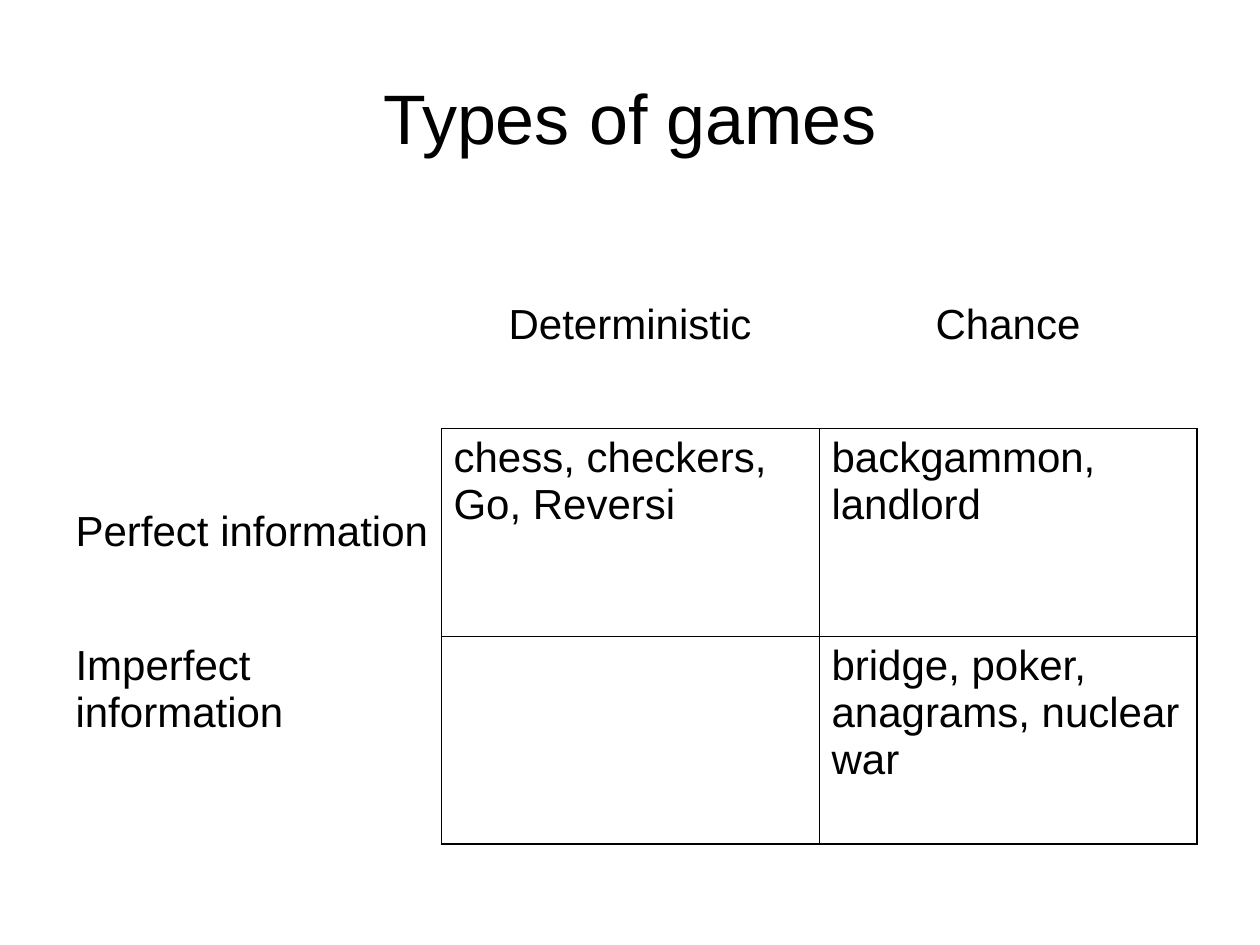
"""Build a slide with a two-by-two table of game types."""
import lxml.etree
import pptx
import pptx.dml.color
import pptx.enum.text
import pptx.oxml.ns
import pptx.util

Inches = pptx.util.Inches
Pt = pptx.util.Pt
Align = pptx.enum.text.PP_ALIGN
Anchor = pptx.enum.text.MSO_ANCHOR

INK = "000000"
SIDE = 3
ROWS = [
    ["", "Deterministic", "Chance"],
    ["Perfect information", "chess, checkers, Go, Reversi", "backgammon, landlord"],
    ["Imperfect information", "", "bridge, poker, anagrams, nuclear war"],
]


def color(code):
    """Turn a hex string into a colour."""
    return pptx.dml.color.RGBColor.from_string(code)


def write(frame, text, size, align):
    """Put one run of text in the first paragraph of a frame."""
    para = frame.paragraphs[0]
    para.alignment = align
    run = para.add_run()
    run.text = text
    run.font.name = "Arial"
    run.font.size = Pt(size)
    run.font.color.rgb = color(INK)


def add_title(slide, text):
    """Add the centred title."""
    box = slide.shapes.add_textbox(Inches(0.5), Inches(0.3), Inches(9), Inches(1.25))
    frame = box.text_frame
    frame.word_wrap = True
    frame.vertical_anchor = Anchor.MIDDLE
    write(frame, text, 40, Align.CENTER)


def make_line(tag, width):
    """Make a cell border element; a width of zero hides it."""
    qn = pptx.oxml.ns.qn
    line = lxml.etree.Element(qn(tag), w=str(int(Pt(width))))
    if width:
        fill = lxml.etree.SubElement(line, qn("a:solidFill"))
        lxml.etree.SubElement(fill, qn("a:srgbClr"), val=INK)
    else:
        lxml.etree.SubElement(line, qn("a:noFill"))
    return line


def edge_width(edge, lane):
    """Give the width of a grid edge, leaving the header lanes open."""
    if edge == 0 or lane == 0:
        return 0
    return 1.08 if edge == SIDE else 0.45


def set_edges(cell, row, col):
    """Draw the four borders of a cell by its place in the grid."""
    edges = [("a:lnL", col, row), ("a:lnR", col + 1, row),
             ("a:lnT", row, col), ("a:lnB", row + 1, col)]
    props = cell._tc.get_or_add_tcPr()
    for spot, (tag, edge, lane) in enumerate(edges):
        props.insert(spot, make_line(tag, edge_width(edge, lane)))


def add_grid(slide):
    """Add the table of games."""
    shape = slide.shapes.add_table(SIDE, SIDE, Inches(0.5), Inches(1.75),
                                   Inches(9), Inches(4.95))
    table = shape.table
    table.first_row = False
    table.horz_banding = False
    for row, texts in enumerate(ROWS):
        for col, text in enumerate(texts):
            cell = table.cell(row, col)
            cell.fill.background()
            set_edges(cell, row, col)
            if row == 0 or (row, col) == (1, 0):
                cell.vertical_anchor = Anchor.MIDDLE
            if text:
                align = Align.CENTER if row == 0 else Align.LEFT
                write(cell.text_frame, text, 24, align)


def main():
    """Build and save the slide."""
    deck = pptx.Presentation()
    deck.slide_width = Inches(10)
    deck.slide_height = Inches(7.5)
    slide = deck.slides.add_slide(deck.slide_layouts[6])
    add_title(slide, "Types of games")
    add_grid(slide)
    deck.save("out.pptx")


if __name__ == "__main__":
    main()
